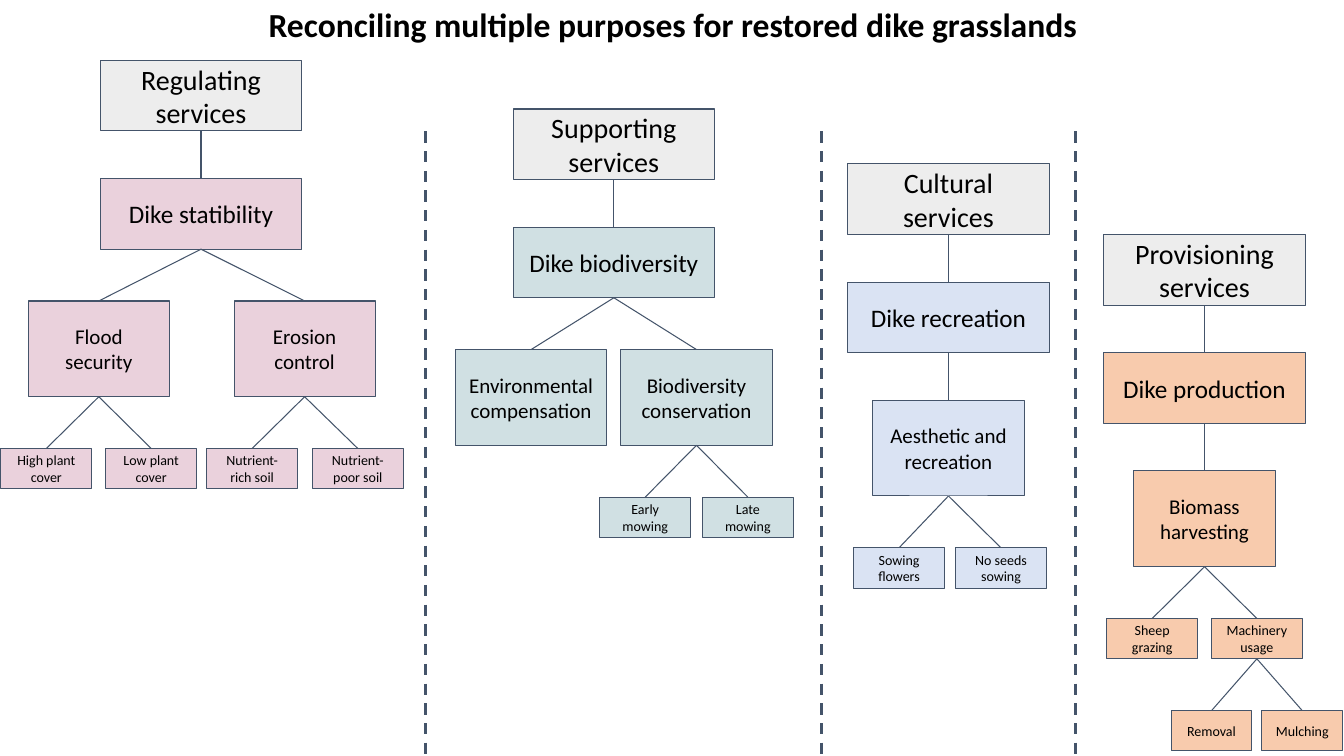
from pptx import Presentation
from pptx.dml.color import RGBColor
from pptx.enum.dml import MSO_LINE
from pptx.enum.shapes import MSO_CONNECTOR, MSO_SHAPE
from pptx.enum.text import MSO_ANCHOR, PP_ALIGN
from pptx.oxml.ns import qn
from pptx.util import Pt
from lxml import etree

RECT, STRAIGHT = MSO_SHAPE.RECTANGLE, MSO_CONNECTOR.STRAIGHT
CENTER, MIDDLE, DASH = PP_ALIGN.CENTER, MSO_ANCHOR.MIDDLE, MSO_LINE.DASH

THEME = {
    "font": "Calibri", "text": "000000", "line": "44546A",
    "service": "EDEDED", "rose": "EAD1DC", "teal": "D0E0E3",
    "blue": "DAE3F3", "orange": "F8CBAD",
    "title_size": 24, "level_sizes": [20, 18, 15, 10, 10],
}
LEVEL_HEIGHTS = [50.4, 50.4, 68.4, 28.8, 28.8]
SINGLE_GAP, BRANCH_GAP = 34, 37

# Each node: text, centre x, children
COLUMNS = [
    {"top": 43.2, "color": "rose", "aim_width": 100.8, "root":
        ("Regulating services", 143.6, [("Dike statibility", 143.6, [
            ("Flood security", 70.6, [
                ("High plant cover", 33.1, []), ("Low plant cover", 108, [])]),
            ("Erosion control", 217.6, [
                ("Nutrient-rich soil", 180.1, []), ("Nutrient-poor soil", 255.6, [])]),
        ])])},
    {"top": 77.9, "color": "teal", "aim_width": 108, "root":
        ("Supporting services", 438.5, [("Dike biodiversity", 438.5, [
            ("Environmental compensation", 379.4, []),
            ("Biodiversity conservation", 497.5, [
                ("Early mowing", 460.9, []), ("Late mowing", 534.2, [])]),
        ])])},
    {"top": 117.1, "color": "blue", "aim_width": 108, "root":
        ("Cultural services", 677.5, [("Dike recreation", 677.5, [
            ("Aesthetic and recreation", 677.5, [
                ("Sowing flowers", 642.2, []), ("No seeds sowing", 715, [])]),
        ])])},
    {"top": 167.6, "color": "orange", "aim_width": 100.8, "root":
        ("Provisioning services", 860.4, [("Dike production", 860.4, [
            ("Biomass harvesting", 860.4, [
                ("Sheep grazing", 823, []),
                ("Machinery usage", 897.8, [
                    ("Removal", 865.4, []), ("Mulching", 930.2, [])]),
            ]),
        ])])},
]
DIVIDERS = [303.8, 586.8, 768.2]

prs = Presentation()
prs.slide_width, prs.slide_height = Pt(960), Pt(540)
s = prs.slides.add_slide(prs.slide_layouts[6])


def add_line(x1, y1, x2, y2, width=0.75):
    line = s.shapes.add_connector(STRAIGHT, Pt(x1), Pt(y1), Pt(x2), Pt(y2))
    line.line.color.rgb = RGBColor.from_string(THEME["line"])
    line.line.width = Pt(width)
    etree.SubElement(line._element.spPr, qn("a:effectLst"))
    return line


def set_text(sp, text, size, inset, bold=False):
    tf = sp.text_frame
    frame = {"word_wrap": True, "vertical_anchor": MIDDLE}
    for side in ("left", "right", "top", "bottom"):
        frame["margin_" + side] = Pt(inset)
    for name, value in frame.items():
        setattr(tf, name, value)
    p = tf.paragraphs[0]
    p.alignment = CENTER
    r = p.add_run()
    r.text = text
    for name, value in {"name": THEME["font"], "size": Pt(size), "bold": bold}.items():
        setattr(r.font, name, value)
    r.font.color.rgb = RGBColor.from_string(THEME["text"])


title = s.shapes.add_textbox(Pt(182.2), Pt(-0.7), Pt(596.9), Pt(36))
set_text(title, "Reconciling multiple purposes for restored dike grasslands",
         THEME["title_size"], 3.6, bold=True)

for x in DIVIDERS:
    add_line(x, 93.8, x, 540, 2).line.dash_style = DASH

for column in COLUMNS:
    widths = [144, 144, column["aim_width"], 64.8, 57.6]
    pending = [(column["root"], 0, column["top"])]
    while pending:
        (text, cx, children), level, top = pending.pop(0)
        width, height = widths[level], LEVEL_HEIGHTS[level]
        sp = s.shapes.add_shape(RECT, Pt(cx - width / 2), Pt(top), Pt(width), Pt(height))
        sp.shadow.inherit = False
        sp.fill.solid()
        fill = THEME[column["color"] if level else "service"]
        sp.fill.fore_color.rgb = RGBColor.from_string(fill)
        sp.line.color.rgb = RGBColor.from_string(THEME["line"])
        sp.line.width = Pt(0.75)
        set_text(sp, text, THEME["level_sizes"][level], 9.36)

        bottom = top + height
        child_top = bottom + (BRANCH_GAP if len(children) > 1 else SINGLE_GAP)
        for child in children:
            add_line(cx, bottom, child[1], child_top)
            pending.append((child, level + 1, child_top))

prs.save("out.pptx")
